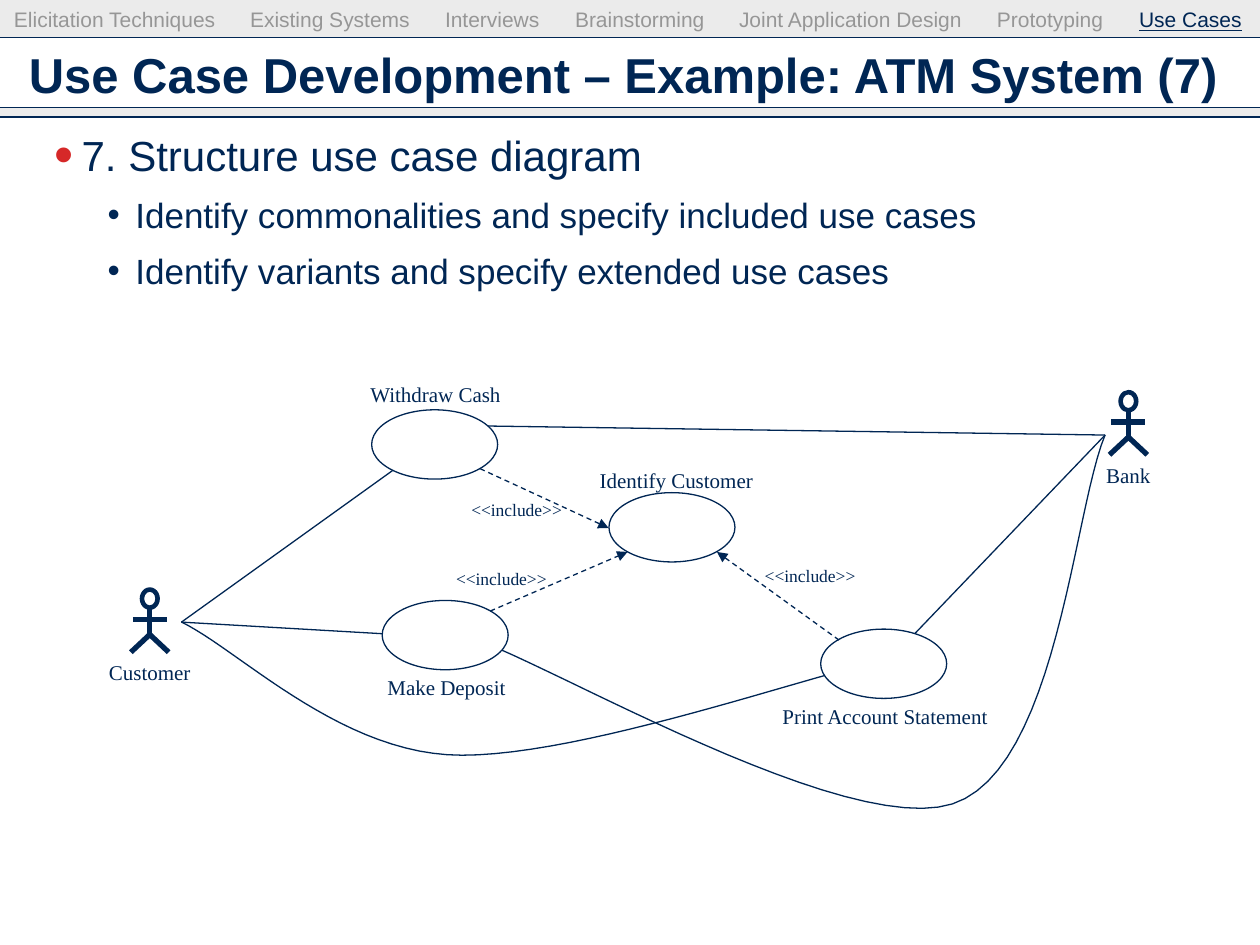
from lxml import etree
from pptx import Presentation
from pptx.dml.color import RGBColor
from pptx.enum import dml, shapes, text
from pptx.oxml import ns
from pptx.util import Pt

COLORS = {"navy": "002654", "red": "D62828", "grey": "969696", "band": "CDCDCD", "white": "FFFFFF"}
SANS, SERIF = "Arial", "Times New Roman"


def rgb(name):
    return RGBColor.from_string(COLORS[name])


def add_xml(parent, tag, **attributes):
    return etree.SubElement(parent, ns.qn(tag), attributes)


def write(paragraph, words, size=12, font=SANS, color="navy", bold=False, underline=False):
    run = paragraph.add_run()
    run.text = words
    run.font.size, run.font.name = Pt(size), font
    run.font.color.rgb = rgb(color)
    run.font.bold, run.font.underline = bold, underline


def text_frame(slide, left, top, width, height, wrap=True, fill=None):
    holder = slide.shapes.add_textbox(Pt(left), Pt(top), Pt(width), Pt(height))
    if fill:
        holder.fill.solid()
        holder.fill.fore_color.rgb = rgb(fill)
    holder.text_frame.word_wrap = wrap
    return holder.text_frame


def label(slide, left, top, width, height, words, size=12, fill=None):
    paragraph = text_frame(slide, left, top, width, height, False, fill).paragraphs[0]
    paragraph.alignment = text.PP_ALIGN.CENTER
    write(paragraph, words, size, SERIF)


def outline(part, fill=None, line="navy"):
    part.shadow.inherit = False
    if fill:
        part.fill.solid()
        part.fill.fore_color.rgb = rgb(fill)
    else:
        part.fill.background()
    if line:
        part.line.color.rgb = rgb(line)
        part.line.width = Pt(0.75)
    else:
        part.line.fill.background()


def straight(slide, start, end, width=0.75, dashed_arrow=False):
    line = slide.shapes.add_connector(
        shapes.MSO_CONNECTOR.STRAIGHT, *(Pt(value) for value in (*start, *end)))
    line.line.color.rgb = rgb("navy")
    line.line.width = Pt(width)
    if dashed_arrow:
        line.line.dash_style = dml.MSO_LINE.DASH
        add_xml(line.line._get_or_add_ln(), "a:tailEnd", type="triangle")
    add_xml(line._element.spPr, "a:effectLst")


def curve(slide, start, *segments, steps=24):
    points = []
    origin = start
    for first, second, end in segments:
        for step in range(1, steps + 1):
            t = step / steps
            weights = ((1 - t) ** 3, 3 * t * (1 - t) ** 2, 3 * t * t * (1 - t), t ** 3)
            corners = (origin, first, second, end)
            points.append(tuple(
                Pt(sum(w * c[axis] for w, c in zip(weights, corners))) for axis in (0, 1)))
        origin = end
    builder = slide.shapes.build_freeform(Pt(start[0]), Pt(start[1]))
    builder.add_line_segments(points, close=False)
    outline(builder.convert_to_shape())


def band(slide, top, height):
    strip = slide.shapes.add_shape(
        shapes.MSO_SHAPE.RECTANGLE, 0, Pt(top), Pt(720), Pt(height))
    outline(strip, "band", None)
    fill_color = strip._element.spPr.find(".//" + ns.qn("a:srgbClr"))
    add_xml(fill_color, "a:alpha", val="40000")


def navigation(slide, left, top, width, height):
    frame = text_frame(slide, left, top, width, height, False)
    frame.margin_top = 0
    paragraph = frame.paragraphs[0]
    sections = ["Elicitation Techniques", "Existing Systems", "Interviews", "Brainstorming",
                "Joint Application Design", "Prototyping"]
    tab_list = add_xml(paragraph._p.get_or_add_pPr(), "a:tabLst")
    for stop in (134.9, 246.3, 320.6, 414.3, 561.7, 642.9):
        add_xml(tab_list, "a:tab", pos=str(Pt(stop)), algn="l")
    write(paragraph, "\t".join(sections) + "\t", color="grey")
    write(paragraph, "Use Cases", underline=True)


def header(slide):
    band(slide, 0, 21.6)
    band(slide, 61.4, 5.4)
    for y in (61.4, 21.6, 66.8):
        straight(slide, (0, y), (720, y))
    frame = text_frame(slide, 9.4, 18.7, 701.3, 47.5)
    frame.vertical_anchor = text.MSO_ANCHOR.MIDDLE
    write(frame.paragraphs[0], "Use Case Development – Example: ATM System (7)", 28, bold=True)
    navigation(slide, 0.9, 4, 718, 18)


def outline_text(slide, left, top, width, height):
    frame = text_frame(slide, left, top, width, height)
    items = [("7. Structure use case diagram", 0, 24, 30.2, "red", 130),
             ("Identify commonalities and specify included use cases", 1, 20, 60.9, "navy", 100),
             ("Identify variants and specify extended use cases", 1, 20, 60.9, "navy", 100)]
    for index, (words, level, size, indent, bullet, scale) in enumerate(items):
        paragraph = frame.add_paragraph() if index else frame.paragraphs[0]
        paragraph.level = level
        paragraph.line_spacing = Pt(26)
        if index:
            paragraph.space_before = Pt(6)
        properties = paragraph._p.get_or_add_pPr()
        properties.set("marL", str(Pt(indent)))
        properties.set("indent", str(Pt(-15.8)))
        add_xml(add_xml(properties, "a:buClr"), "a:srgbClr", val=COLORS[bullet])
        add_xml(properties, "a:buSzPct", val=str(scale * 1000))
        add_xml(properties, "a:buFont", typeface=SANS)
        add_xml(properties, "a:buChar", char="•")
        write(paragraph, words, size)


def actor(slide, center, top, name, name_width):
    head = slide.shapes.add_shape(
        shapes.MSO_SHAPE.DONUT, Pt(center - 5.4), Pt(top), Pt(10.8), Pt(12.2))
    head.adjustments[0] = 0.17
    outline(head, "navy")
    limbs = [((0, 11.5), (0, 28.8)), ((-9.7, 18), (9.7, 18)),
             ((-10.8, 36.7), (0, 26.6)), ((10.8, 36.7), (0, 26.6))]
    for start, end in limbs:
        straight(slide, *((center + x, top + y) for x, y in (start, end)), width=3)
    label(slide, center - name_width / 2, top + 37.4, name_width, 21.6, name)


def use_case(slide, left, top, name, name_left, name_top, name_width):
    label(slide, name_left, name_top, name_width, 21.6, name, fill="white")
    oval = slide.shapes.add_shape(
        shapes.MSO_SHAPE.OVAL, Pt(left), Pt(top), Pt(72), Pt(39.6))
    outline(oval, "white")


def diagram(slide):
    customer, bank = (103.7, 355.5), (631.5, 248.6)
    straight(slide, (505.4, 380.2), bank)
    straight(slide, (244.1, 363.6), customer)
    straight(slide, (244.8, 254.2), customer)
    straight(slide, bank, (255.6, 243.1))
    curve(slide, (493.9, 380.2),
          ((454.3, 388.8), (320.4, 435.6), (255.6, 431.3)),
          ((190.8, 427), (135.4, 370.8), customer))
    curve(slide, (270.7, 365),
          ((316.8, 380.9), (483.8, 478.8), (544.3, 459.4)),
          ((604.1, 439.9), (613.4, 292.3), bank))
    actor(slide, 85.6, 336, "Customer", 61.2)
    actor(slide, 644.8, 223.2, "Bank", 41)

    use_case(slide, 218.4, 343.1, "Make Deposit", 213.2, 382.1, 84)
    use_case(slide, 469, 359.5, "Print Account Statement", 437.8, 398.5, 136)
    use_case(slide, 212.4, 234.2, "Withdraw Cash", 202.9, 214.6, 92)
    use_case(slide, 348, 281.5, "Identify Customer", 331.5, 263.5, 110)

    inclusions = [((274.3, 267.8), (347.8, 301.7), (262.1, 281.9)),
                  ((280.1, 349.2), (358.6, 315.4), (253.4, 320.8)),
                  ((479.5, 365.8), (409.7, 315.4), (429.8, 319.4))]
    for start, end, caption in inclusions:
        straight(slide, start, end, dashed_arrow=True)
        label(slide, *caption, 66.2, 19.4, "<<include>>", 10)


def main():
    deck = Presentation()
    deck.slide_width, deck.slide_height = Pt(720), Pt(540)
    slide = deck.slides.add_slide(deck.slide_layouts[6])
    header(slide)
    outline_text(slide, 9.4, 73.1, 701.3, 439.2)
    diagram(slide)
    deck.save("out.pptx")


if __name__ == "__main__":
    main()
